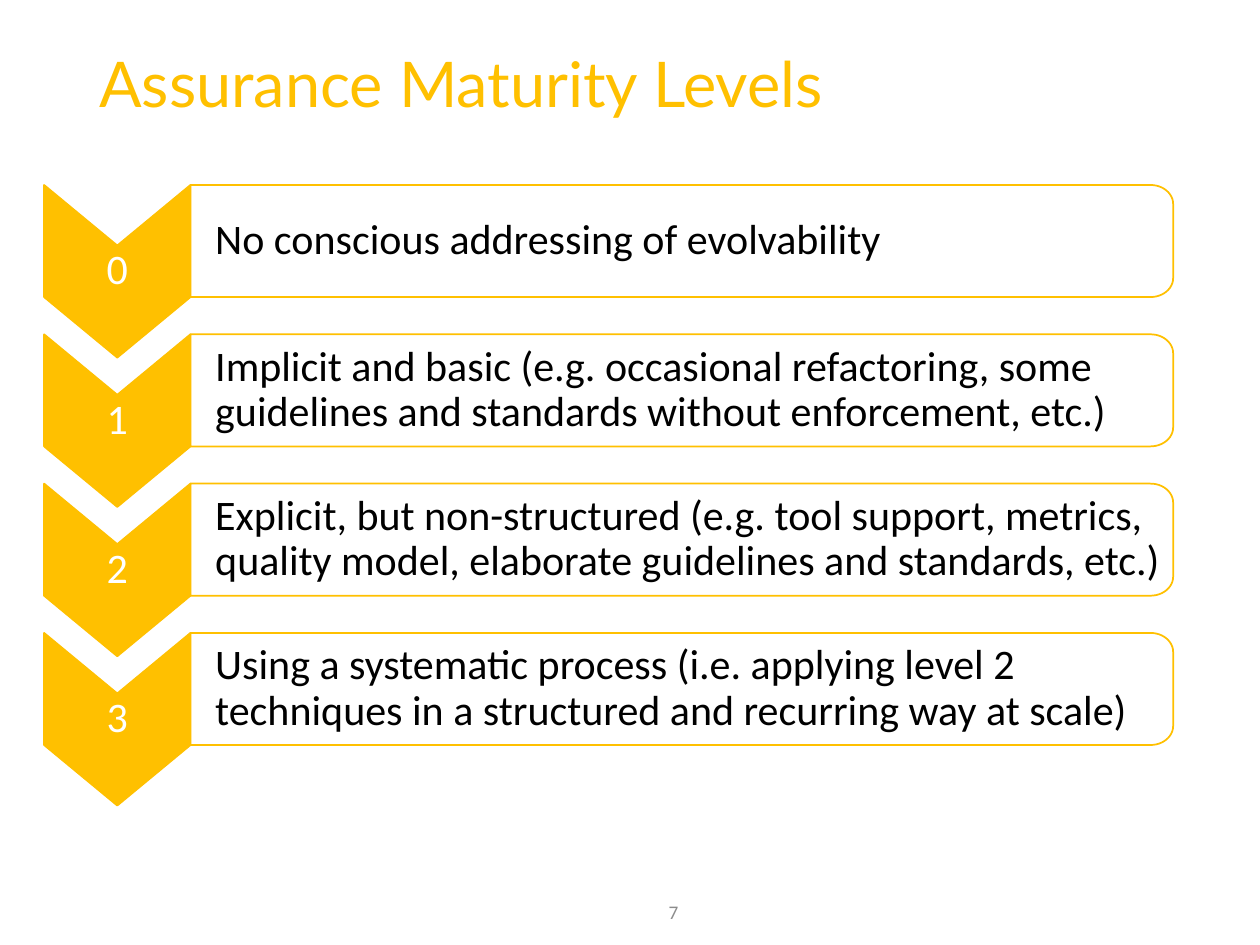
from math import cos, pi, sin

from lxml.etree import SubElement
from pptx import Presentation
from pptx.dml.color import RGBColor
from pptx.enum.text import MSO_ANCHOR, MSO_AUTO_SIZE, PP_ALIGN
from pptx.oxml.ns import qn
from pptx.util import Cm, Pt

COLORS = {"accent": "FFC000", "white": "FFFFFF", "text": "000000", "muted": "8C8C8C"}

LEVELS = [
    "No conscious addressing of evolvability",
    "Implicit and basic (e.g. occasional refactoring, some guidelines and "
    "standards without enforcement, etc.)",
    "Explicit, but non-structured (e.g. tool support, metrics, quality model, "
    "elaborate guidelines and standards, etc.)",
    "Using a systematic process (i.e. applying level 2 techniques in a "
    "structured and recurring way at scale)",
]

# Geometry of the level rows, in centimetres
LEFT, TOP, PITCH = 0.89, 3.73, 3.01
CHEVRON_W, PANEL_W, ROW_H, POINT_H = 2.95, 19.81, 2.26, 1.22
CORNER_W, CORNER_H, CORNER_STEPS = 0.46, 0.38, 12


def color(name):
    return RGBColor.from_string(COLORS[name])


class SlideBuilder:
    def __init__(self, s, font="Calibri", title_font="Lato", size=24):
        self.s, self.font, self.title_font, self.size = s, font, title_font, size

    def set_text(self, sp, text, font, size, fill, align, margins, spacing=0.9):
        """Fill a shape with one paragraph; margins are left, top, right, bottom."""
        tf = sp.text_frame
        tf.text = text
        tf.word_wrap = True
        tf.auto_size = MSO_AUTO_SIZE.NONE
        tf.vertical_anchor = MSO_ANCHOR.MIDDLE
        (tf.margin_left, tf.margin_top,
         tf.margin_right, tf.margin_bottom) = map(Cm, margins)
        p = tf.paragraphs[0]
        p.alignment = align
        p.line_spacing = spacing
        p.font.name, p.font.size = font, Pt(size)
        p.font.color.rgb = color(fill)

    def title(self, text):
        sp = self.s.shapes.title
        sp.left, sp.top, sp.width, sp.height = map(Cm, (1.75, 0.66, 21.9, 2.21))
        self.set_text(sp, text, self.title_font, 36, "accent", PP_ALIGN.LEFT,
                      (0.25, 0.13, 0.25, 0.13))

    def page_number(self, number):
        sp = self.s.shapes.add_textbox(Cm(10.72), Cm(17.88), Cm(5.72), Cm(1.02))
        self.set_text(sp, str(number), self.font, 11, "muted", PP_ALIGN.CENTER,
                      (0.25, 0.13, 0.25, 0.13), spacing=1.0)

    def outline(self, points, fill):
        points = [(Cm(x), Cm(y)) for x, y in points]
        builder = self.s.shapes.build_freeform(*points[0])
        builder.add_line_segments(points[1:], close=True)
        sp = builder.convert_to_shape()
        sp.shadow.inherit = False
        sp.fill.solid()
        sp.fill.fore_color.rgb = color(fill)
        sp.line.color.rgb = color("accent")
        sp.line.width = Pt(1)
        return sp

    def chevron(self, x, y, text):
        middle, right, bottom = x + CHEVRON_W / 2, x + CHEVRON_W, y + ROW_H
        sp = self.outline([(x, y), (middle, y + POINT_H), (right, y), (right, bottom),
                           (middle, bottom + POINT_H), (x, bottom)], "accent")
        self.set_text(sp, text, self.font, self.size, "white", PP_ALIGN.CENTER,
                      (0.05, 1.14, 0.05, 1.14))

    def panel(self, x, y, text):
        """Draw a translucent box whose two right corners are rounded."""
        arc = [(CORNER_W * (1 - cos(a)), CORNER_H * (1 - sin(a)))
               for a in (pi / 2 * i / CORNER_STEPS for i in range(CORNER_STEPS + 1))]
        right, bottom = x + PANEL_W, y + ROW_H
        upper = [(right - dx, y + dy) for dx, dy in reversed(arc)]
        lower = [(right - dx, bottom - dy) for dx, dy in arc]
        sp = self.outline([(x, y), *upper, *lower, (x, bottom)], "white")
        srgb = sp._element.spPr.find(f"{qn('a:solidFill')}/{qn('a:srgbClr')}")
        SubElement(srgb, qn("a:alpha"), val="90000")
        self.set_text(sp, text, self.font, self.size, "text", PP_ALIGN.LEFT,
                      (0.5, 0.15, 0.15, 0.15))


def main():
    prs = Presentation()
    prs.slide_width, prs.slide_height = Cm(25.4), Cm(19.05)
    slide = SlideBuilder(prs.slides.add_slide(prs.slide_layouts[5]))
    slide.title("Assurance Maturity Levels")
    slide.page_number(7)
    for level, description in enumerate(LEVELS):
        y = TOP + level * PITCH
        slide.chevron(LEFT, y, str(level))
        slide.panel(LEFT + CHEVRON_W, y, description)
    prs.save("out.pptx")


if __name__ == "__main__":
    main()
